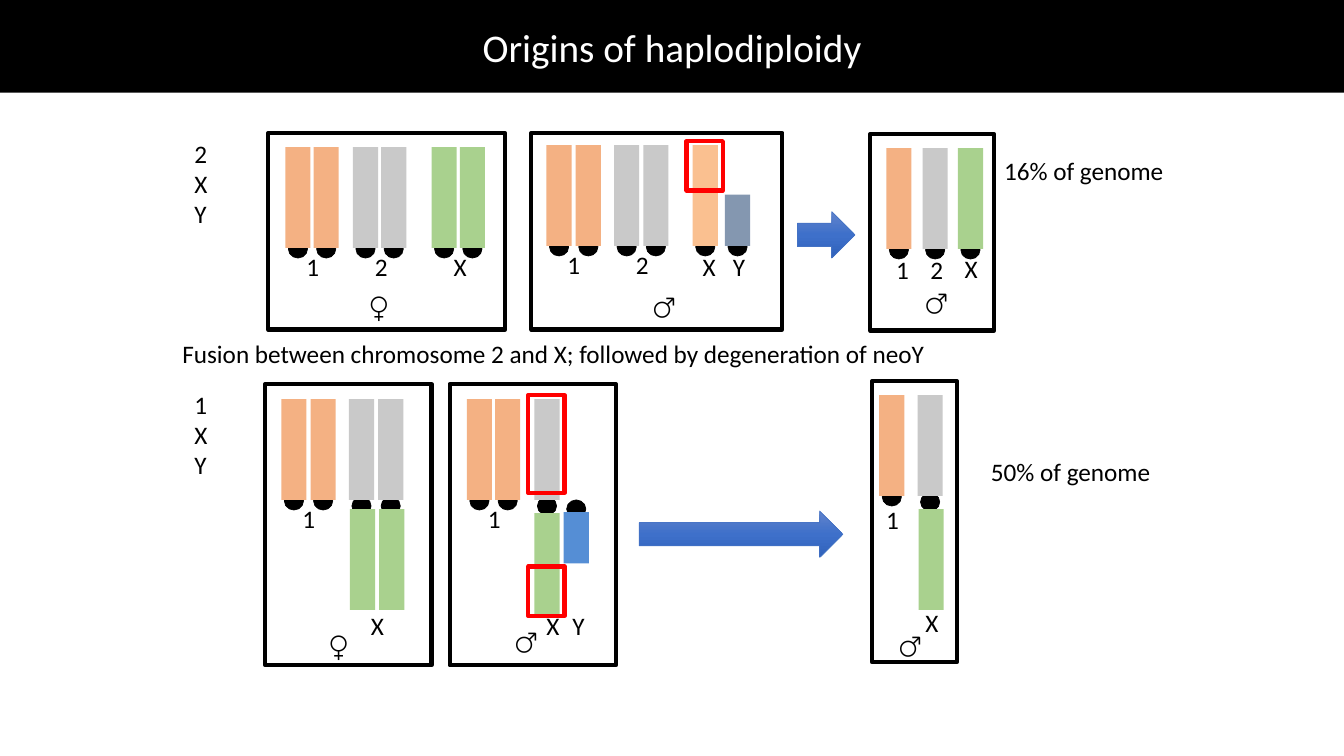
from copy import deepcopy
from pptx import Presentation
from pptx.dml.color import RGBColor
from pptx.enum.shapes import MSO_SHAPE
from pptx.enum.text import MSO_ANCHOR, MSO_AUTO_SIZE, PP_ALIGN
from pptx.util import Inches, Pt

RECT, OVAL, ARROW = MSO_SHAPE.RECTANGLE, MSO_SHAPE.OVAL, MSO_SHAPE.RIGHT_ARROW
FIT, CENTER, MIDDLE = MSO_AUTO_SIZE.SHAPE_TO_FIT_TEXT, PP_ALIGN.CENTER, MSO_ANCHOR.MIDDLE

PAGE_W, PAGE_H, TITLE_H = 13.33, 7.5, 0.92
BAR_W, BAR_H = 0.25, 1
CAP_W, CAP_H, CAP_INDENT = 0.19, 0.18, 0.03
LABEL_W, TEXT_H = 0.33, 0.4
COLORS = {
    "black": "000000", "white": "FFFFFF", "red": "FF0000",
    "one": "F4B183", "two": "C9C9C9", "x": "A9D18E", "old x": "FAC090",
    "y": "8497B0", "neo y": "558ED5", "arrow line": "4472C4",
}
ARROW_STOPS = [(0, "6183CB"), (0.5, "3E70CA"), (1, "3062BB")]

TITLE = "Origins of haplodiploidy"
# left, top, width (None: the text does not wrap), words
CAPTIONS = [
    (1.83, 1.32, None, "2 XY"),
    (1.83, 3.81, None, "1 XY"),
    (1.71, 3.31, 8.15, "Fusion between chromosome 2 and X; followed by degeneration of neoY"),
    (9.86, 1.49, 1.81, "16% of genome"),
    (9.73, 4.48, 1.94, "50% of genome"),
]
# Centromere heights, measured from the top of a chromosome
END, FUSED, HALF_END, ABOVE = 0.92, 0.97, 0.43, -0.12
# frame: left, top, width, height
# bars: colour, offsets across, offset down, share of full length, centromere
# labels: words, offset across, offset down
PANELS = [
    {"frame": (2.66, 1.32, 2.35, 1.95),
     "bars": [("one", (0.17, 0.45), 0.14, 1, END),
              ("two", (0.84, 1.12), 0.14, 1, END),
              ("x", (1.62, 1.9), 0.14, 1, END)],
     "labels": [("1", 0.28, 1.12), ("2", 0.96, 1.12), ("X", 1.74, 1.12), ("♀", 0.91, 1.52)]},
    {"frame": (5.27, 1.32, 2.49, 1.95),
     "bars": [("one", (0.15, 0.44), 0.12, 1, END),
              ("two", (0.82, 1.11), 0.12, 1, END),
              ("old x", (1.6,), 0.12, 1, END),
              ("y", (1.92,), 0.61, 0.51, HALF_END)],
     "labels": [("1", 0.26, 1.1), ("2", 0.94, 1.1), ("X", 1.6, 1.12), ("Y", 1.9, 1.12),
                ("♂", 1.11, 1.52)]},
    {"frame": (8.63, 1.33, 1.23, 1.95),
     "bars": [("one", (0.16,), 0.14, 1, END),
              ("two", (0.52,), 0.14, 1, END),
              ("x", (0.87,), 0.14, 1, END)],
     "labels": [("1", 0.16, 1.14), ("2", 0.5, 1.14), ("X", 0.84, 1.13), ("♂", 0.45, 1.47)]},
    {"frame": (2.63, 3.81, 1.65, 2.79),
     "bars": [("one", (0.16, 0.45), 0.15, 1, END),
              ("two", (0.83, 1.12), 0.15, 1, FUSED),
              ("x", (0.84, 1.13), 1.24, 1, None)],
     "labels": [("1", 0.27, 1.13), ("X", 0.95, 2.2), ("♀", 0.54, 2.39)]},
    {"frame": (4.46, 3.81, 1.65, 2.79),
     "bars": [("one", (0.17, 0.45), 0.15, 1, END),
              ("two", (0.84,), 0.15, 1, FUSED),
              ("x", (0.84,), 1.28, 1, None),
              ("neo y", (1.13,), 1.27, 0.51, ABOVE)],
     "labels": [("1", 0.28, 1.13), ("X", 0.86, 2.2), ("Y", 1.12, 2.2), ("♂", 0.55, 2.35)]},
    {"frame": (8.65, 3.78, 0.84, 2.79),
     "bars": [("one", (0.07,), 0.14, 1, END),
              ("two", (0.45,), 0.14, 1, FUSED),
              ("x", (0.46,), 1.27, 1, None)],
     "labels": [("1", 0.04, 1.17), ("X", 0.43, 2.2), ("♂", 0.17, 2.42)]},
]
ARROWS = [(7.91, 2.1, 0.57, 0.46), (6.34, 5.07, 2.02, 0.46)]
HIGHLIGHTS = [(6.81, 1.4, 0.36, 0.49), (5.24, 3.92, 0.36, 0.97), (5.24, 5.62, 0.36, 0.49)]


def rgb(name):
    return RGBColor.from_string(COLORS[name])


def add_shape(page, kind, place, fill=None, line=None, weight=0.5):
    shape = page.shapes.add_shape(kind, *map(Inches, place))
    shape.shadow.inherit = False
    if fill:
        shape.fill.solid()
        shape.fill.fore_color.rgb = rgb(fill)
    else:
        shape.fill.background()
    if line:
        shape.line.color.rgb = rgb(line)
        shape.line.width = Pt(weight)
    else:
        shape.line.fill.background()
    return shape


def write(frame, words, size, color):
    para = frame.paragraphs[0]
    span = para.add_run()
    span.text = words
    for name, value in {"name": "Calibri", "size": Pt(size), "bold": False}.items():
        setattr(span.font, name, value)
    span.font.color.rgb = rgb(color)
    return para


def add_text(page, left, top, width, words):
    box = page.shapes.add_textbox(*map(Inches, (left, top, width or LABEL_W, TEXT_H)))
    box.text_frame.word_wrap = width is not None
    box.text_frame.auto_size = FIT
    write(box.text_frame, words, 18, "black")


def add_arrow(page, place):
    arrow = add_shape(page, ARROW, place, line="arrow line")
    arrow.fill.gradient()
    arrow.fill.gradient_angle = 270
    first = arrow.fill.gradient_stops[0]._gs
    first.addnext(deepcopy(first))
    for stop, (position, color) in zip(arrow.fill.gradient_stops, ARROW_STOPS):
        stop.position = position
        stop.color.rgb = RGBColor.from_string(color)


def add_panel(page, frame, bars, labels):
    left, top = frame[:2]
    add_shape(page, RECT, frame, line="black", weight=3)
    placed = [(color, left + across, top + down, share, cap)
              for color, offsets, down, share, cap in bars for across in offsets]
    # Centromeres go behind every chromosome arm
    for _, x, y, _, cap in placed:
        if cap is not None:
            add_shape(page, OVAL, (x + CAP_INDENT, y + cap, CAP_W, CAP_H), "black", "black")
    for color, x, y, share, _ in placed:
        add_shape(page, RECT, (x, y, BAR_W, BAR_H * share), color)
    for words, across, down in labels:
        # The sex signs have a wider box
        width = 0.45 if words in "♀♂" else None
        add_text(page, left + across, top + down, width, words)


def add_title(page):
    title = page.shapes.title
    place = map(Inches, (0, 0, PAGE_W, TITLE_H))
    for name, value in zip(("left", "top", "width", "height"), place):
        setattr(title, name, value)
    title.fill.solid()
    title.fill.fore_color.rgb = rgb("black")
    title.text_frame.vertical_anchor = MIDDLE
    write(title.text_frame, TITLE, 28, "white").alignment = CENTER


def main():
    deck = Presentation()
    deck.slide_width, deck.slide_height = Inches(PAGE_W), Inches(PAGE_H)
    page = deck.slides.add_slide(deck.slide_layouts[5])
    add_title(page)
    for caption in CAPTIONS:
        add_text(page, *caption)
    for panel in PANELS:
        add_panel(page, **panel)
    for place in ARROWS:
        add_arrow(page, place)
    for place in HIGHLIGHTS:
        add_shape(page, RECT, place, line="red", weight=3)
    deck.save("out.pptx")


if __name__ == "__main__":
    main()
